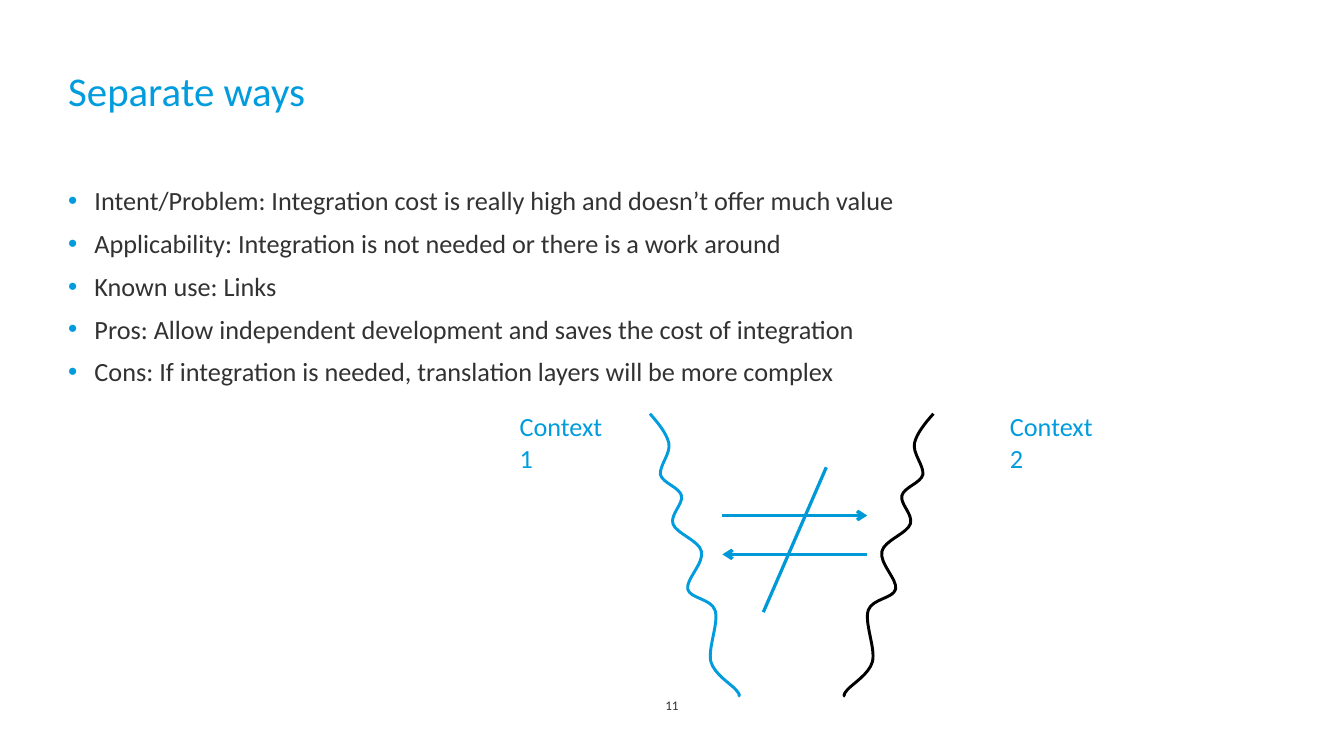
from pptx import Presentation, util as u
from pptx.dml import color
from pptx.enum import shapes, text
from pptx.oxml import ns
from lxml import etree

WIDTH, HEIGHT = 12.8, 7.2
FONT = "Calibri"
BLUE, ARROW_BLUE, BLACK, GRAY = "009CDD", "0099D8", "000000", "323232"
MARGIN, CONTENT_WIDTH = 0.65, 11.49
TITLE = "Separate ways"
BULLETS = [
    "Intent/Problem: Integration cost is really high and doesn’t offer much value",
    "Applicability: Integration is not needed or there is a work around",
    "Known use: Links",
    "Pros: Allow independent development and saves the cost of integration",
    "Cons: If integration is needed, translation layers will be more complex",
]
CONTEXTS = [("Context 1", 4.85), ("Context 2", 9.52)]
PAGE_NUMBER = "11"
LEFT_EDGE, RIGHT_EDGE = 6.19, 8.89
BOUNDARY = [
    (6.19, 3.94), (6.27, 4.03), (6.35, 4.13), (6.37, 4.22),
    (6.39, 4.32), (6.28, 4.43), (6.29, 4.52),
    (6.31, 4.6), (6.47, 4.64), (6.49, 4.72),
    (6.51, 4.8), (6.38, 4.9), (6.41, 4.99),
    (6.44, 5.08), (6.66, 5.15), (6.68, 5.25),
    (6.71, 5.36), (6.53, 5.52), (6.55, 5.61),
    (6.57, 5.7), (6.77, 5.7), (6.81, 5.81),
    (6.85, 5.93), (6.74, 6.17), (6.77, 6.3),
    (6.8, 6.42), (6.97, 6.52), (7.01, 6.57),
    (7.06, 6.63), (7.04, 6.63), (7.03, 6.63),
]
LINKS = [
    ((7.27, 5.83), (7.87, 4.45), False),
    ((6.88, 4.91), (8.26, 4.91), True),
    ((8.26, 5.28), (6.88, 5.28), True),
]


def rgb(value):
    return color.RGBColor.from_string(value)


def place(shape, left, top, width, height):
    shape.left, shape.top = u.Inches(left), u.Inches(top)
    shape.width, shape.height = u.Inches(width), u.Inches(height)


def write(shape, lines, size, ink, insets=(0, 0), anchor=text.MSO_ANCHOR.TOP,
          align=text.PP_ALIGN.LEFT):
    frame = shape.text_frame
    frame.text = "\n".join(lines)
    frame.word_wrap = True
    frame.auto_size = text.MSO_AUTO_SIZE.NONE
    frame.vertical_anchor = anchor
    frame.margin_left = frame.margin_right = u.Inches(insets[0])
    frame.margin_top = frame.margin_bottom = u.Inches(insets[1])
    for paragraph in frame.paragraphs:
        paragraph.alignment = align
        for run in paragraph.runs:
            run.font.name, run.font.size = FONT, u.Pt(size)
            run.font.color.rgb = rgb(ink)
    return frame.paragraphs


def add_text(box, *args, **options):
    return write(slide.shapes.add_textbox(*map(u.Inches, box)), *args, **options)


def add_bullet(paragraph):
    paragraph.space_before = u.Pt(7.7)
    properties = paragraph._p.get_or_add_pPr()
    properties.set("marL", str(u.Inches(0.25)))
    properties.set("indent", str(-u.Inches(0.25)))
    bullet_color = etree.SubElement(properties, ns.qn("a:buClr"))
    etree.SubElement(bullet_color, ns.qn("a:srgbClr"), val=BLUE)
    etree.SubElement(properties, ns.qn("a:buFont"), typeface="Arial")
    etree.SubElement(properties, ns.qn("a:buChar"), char="•")


def bend(shape):
    lines = list(shape._element.iter(ns.qn("a:lnTo")))
    outline = lines[0].getparent()
    for start in range(0, len(lines), 3):
        curve = etree.SubElement(outline, ns.qn("a:cubicBezTo"))
        for line in lines[start:start + 3]:
            curve.append(line[0])
            outline.remove(line)


def add_boundary(knots, ink):
    points = [(u.Inches(x), u.Inches(y)) for x, y in knots]
    builder = slide.shapes.build_freeform(*points[0], scale=1.0)
    builder.add_line_segments(points[1:], close=False)
    shape = builder.convert_to_shape()
    bend(shape)
    shape.shadow.inherit = False
    shape.fill.background()
    shape.line.color.rgb = rgb(ink)
    shape.line.width = u.Pt(2)


def add_link(start, end, arrow):
    link = slide.shapes.add_connector(shapes.MSO_CONNECTOR.STRAIGHT,
                                      *map(u.Inches, start + end))
    link.line.color.rgb = rgb(ARROW_BLUE)
    link.line.width = u.Pt(2.25)
    if arrow:
        etree.SubElement(link.line._get_or_add_ln(), ns.qn("a:tailEnd"), type="arrow")
    etree.SubElement(link._element.spPr, ns.qn("a:effectLst"))


presentation = Presentation()
presentation.slide_width, presentation.slide_height = u.Inches(WIDTH), u.Inches(HEIGHT)
slide = presentation.slides.add_slide(presentation.slide_layouts[5])

title = slide.shapes.title
place(title, MARGIN, 0.63, CONTENT_WIDTH, 1.11)
write(title, [TITLE], 28, BLUE)

for paragraph in add_text((MARGIN, 1.76, CONTENT_WIDTH, 4.43), BULLETS, 18, GRAY):
    add_bullet(paragraph)

add_boundary(BOUNDARY, BLUE)
add_boundary([(LEFT_EDGE + RIGHT_EDGE - x, y) for x, y in BOUNDARY], BLACK)
for link in LINKS:
    add_link(*link)
for label, left in CONTEXTS:
    add_text((left, 3.86, 1.14, 0.33), [label], 18, BLUE, insets=(0.1, 0.05))

add_text((6.06, 6.57, 0.68, 0.28), [PAGE_NUMBER], 9, GRAY, insets=(0.13, 0.06),
         anchor=text.MSO_ANCHOR.BOTTOM, align=text.PP_ALIGN.CENTER)

presentation.save("out.pptx")
